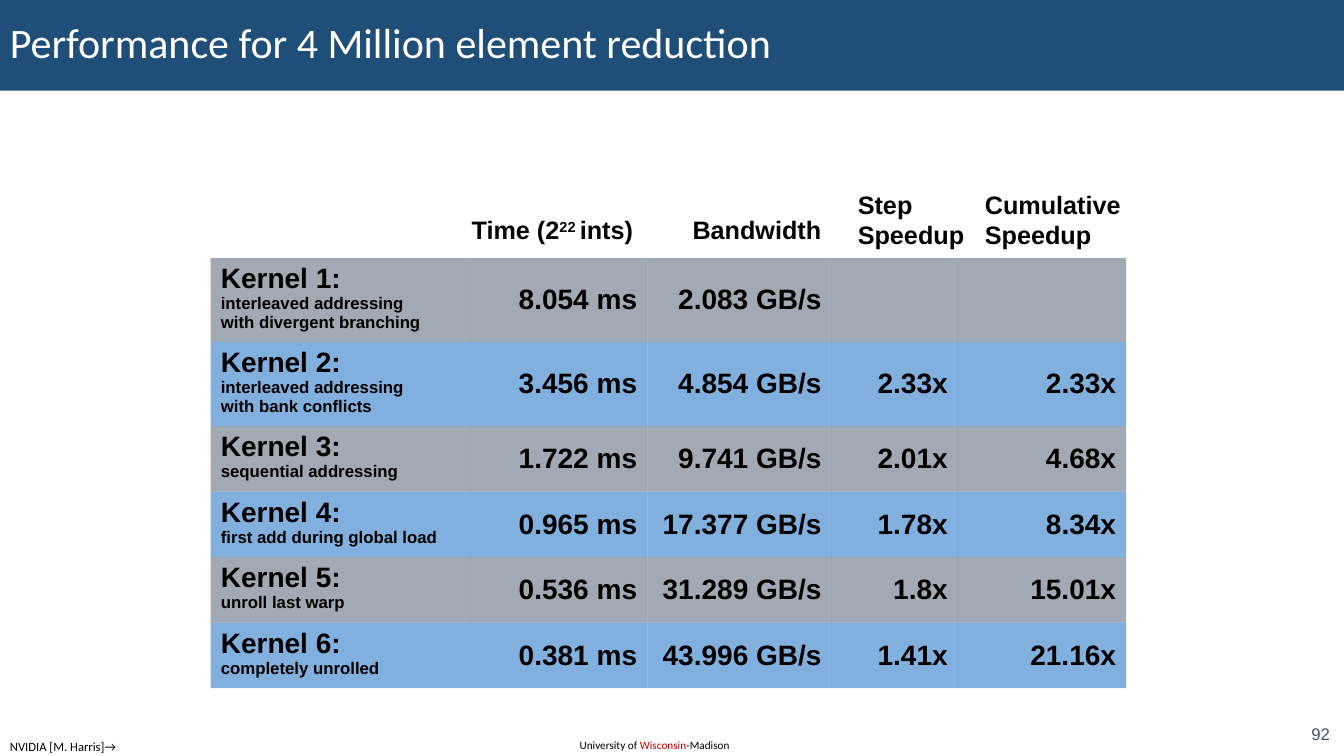
from lxml import etree
from pptx import Presentation
from pptx.dml.color import RGBColor
from pptx.enum.shapes import MSO_SHAPE
from pptx.enum.text import MSO_ANCHOR, PP_ALIGN
from pptx.oxml.ns import qn
from pptx.util import Inches, Pt

LEFT, RIGHT = PP_ALIGN.LEFT, PP_ALIGN.RIGHT
TOP, MIDDLE = MSO_ANCHOR.TOP, MSO_ANCHOR.MIDDLE
RECTANGLE = MSO_SHAPE.RECTANGLE

NAVY, WHITE, BLACK, RED, SLATE = "1F4E79", "FFFFFF", "000000", "C00000", "44546A"
ROW_COLORS = (SLATE, "0563C1")
ROW_OPACITY = 50
NO_GRID_STYLE = "{2D5ABB26-0587-4C30-8999-92F81FD0307C}"

TITLE = "Performance for 4 Million element reduction"
KERNELS = [
    ("Kernel 1:", "interleaved addressing\nwith divergent branching",
     "8.054 ms", "2.083 GB/s", "", ""),
    ("Kernel 2:", "interleaved addressing\nwith bank conflicts",
     "3.456 ms", "4.854 GB/s", "2.33x", "2.33x"),
    ("Kernel 3:", "sequential addressing",
     "1.722 ms", "9.741 GB/s", "2.01x", "4.68x"),
    ("Kernel 4:", "first add during global load",
     "0.965 ms", "17.377 GB/s", "1.78x", "8.34x"),
    ("Kernel 5:", "unroll last warp",
     "0.536 ms", "31.289 GB/s", "1.8x", "15.01x"),
    ("Kernel 6:", "completely unrolled",
     "0.381 ms", "43.996 GB/s", "1.41x", "21.16x"),
]
TABLE_LEFT, TABLE_TOP = 2.09, 2.56
COLUMN_WIDTHS = (2.58, 1.75, 1.83, 1.25, 1.67)
ROW_HEIGHTS = (0.83, 0.78, 0.65, 0.65, 0.65, 0.65)

# Each heading: left, top, width, height, then (text, baseline percent) parts
HEADINGS = [
    (4.58, 2.08, 1.84, 0.4, [("Time (2", 0), ("22 ", 30), ("ints)", 0)]),
    (6.77, 2.08, 1.48, 0.4, [("Bandwidth", 0)]),
    (8.41, 1.83, 1.26, 0.7, [("Step\nSpeedup", 0)]),
    (9.67, 1.83, 1.55, 0.7, [("Cumulative\nSpeedup", 0)]),
]
UNIVERSITY = [("University of ", BLACK), ("Wisconsin", RED), ("-Madison", BLACK)]
CREDIT = "NVIDIA [M. Harris]→"
SLIDE_NUMBER = "92"


def rgb(color):
    return RGBColor.from_string(color)


def write(paragraph, text, size, font="Arial", color=BLACK, bold=False, baseline=0):
    """Add text to the paragraph, with a line break at each newline."""
    for index, line in enumerate(text.split("\n")):
        if index:
            paragraph.add_line_break()
        run = paragraph.add_run()
        run.text = line
        run.font.size = Pt(size)
        run.font.name = font
        run.font.bold = bold
        run.font.color.rgb = rgb(color)
        if baseline:
            run.font._element.set("baseline", str(baseline * 1000))


def add_label(slide, left, top, width, height, wrap=True, align=LEFT, anchor=TOP):
    """Add a text box and return its first paragraph."""
    box = slide.shapes.add_textbox(
        Inches(left), Inches(top), Inches(width), Inches(height))
    box.text_frame.word_wrap = wrap
    box.text_frame.vertical_anchor = anchor
    paragraph = box.text_frame.paragraphs[0]
    paragraph.alignment = align
    return paragraph


def fill_cell(cell, color):
    cell.fill.solid()
    cell.fill.fore_color.rgb = rgb(color)
    tint = cell._tc.tcPr.find(qn("a:solidFill")).find(qn("a:srgbClr"))
    etree.SubElement(tint, qn("a:alpha")).set("val", str(ROW_OPACITY * 1000))


def add_title(slide, width):
    banner = slide.shapes.add_shape(RECTANGLE, 0, 0, width, Inches(0.9))
    banner.shadow.inherit = False
    banner.fill.solid()
    banner.fill.fore_color.rgb = rgb(NAVY)
    banner.line.fill.background()
    banner.text_frame.word_wrap = True
    banner.text_frame.vertical_anchor = MIDDLE
    paragraph = banner.text_frame.paragraphs[0]
    paragraph.alignment = LEFT
    paragraph.line_spacing = 0.9
    write(paragraph, TITLE, 30, "Calibri", WHITE)


def add_kernel_table(slide):
    table = slide.shapes.add_table(
        len(KERNELS), len(COLUMN_WIDTHS), Inches(TABLE_LEFT), Inches(TABLE_TOP),
        Inches(sum(COLUMN_WIDTHS)), Inches(sum(ROW_HEIGHTS))).table
    table.first_row = table.horz_banding = False
    table._tbl.tblPr.find(qn("a:tableStyleId")).text = NO_GRID_STYLE
    for column, width in zip(table.columns, COLUMN_WIDTHS):
        column.width = Inches(width)
    for row, height in zip(table.rows, ROW_HEIGHTS):
        row.height = Inches(height)

    for row, (kernel, method, *results) in enumerate(KERNELS):
        for column in range(len(COLUMN_WIDTHS)):
            fill_cell(table.cell(row, column), ROW_COLORS[row % 2])
        name = table.cell(row, 0).text_frame.paragraphs[0]
        write(name, kernel, 20, bold=True)
        name.add_line_break()
        write(name, method, 12, bold=True)
        for column, result in enumerate(results, 1):
            if result:
                cell = table.cell(row, column)
                cell.vertical_anchor = MIDDLE
                paragraph = cell.text_frame.paragraphs[0]
                paragraph.alignment = RIGHT
                write(paragraph, result, 20, bold=True)


def main():
    deck = Presentation()
    deck.slide_width, deck.slide_height = Inches(13.33), Inches(7.5)
    slide = deck.slides.add_slide(deck.slide_layouts[6])

    university = add_label(slide, 5.65, 7.28, 1.72, 0.24)
    for text, color in UNIVERSITY:
        write(university, text, 8, "Calibri", color)
    add_title(slide, deck.slide_width)
    number = add_label(slide, 12.53, 7.13, 0.76, 0.29, align=RIGHT, anchor=MIDDLE)
    write(number, SLIDE_NUMBER, 12, color=SLATE)

    add_kernel_table(slide)
    for *place, parts in HEADINGS:
        heading = add_label(slide, *place, wrap=False)
        for text, baseline in parts:
            write(heading, text, 18, bold=True, baseline=baseline)

    credit = add_label(slide, 0, 7.28, 1.25, 0.25, wrap=False)
    write(credit, CREDIT, 9, "Calibri")
    deck.save("out.pptx")


if __name__ == "__main__":
    main()
